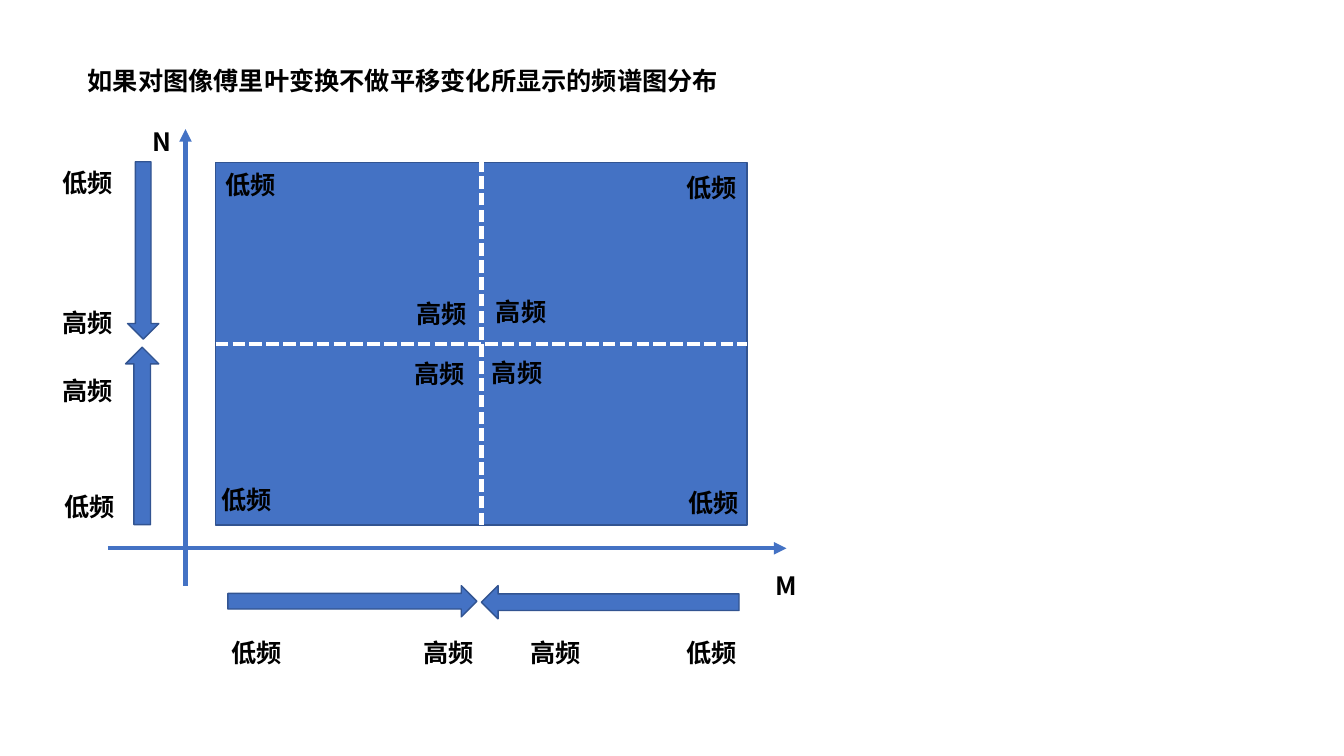
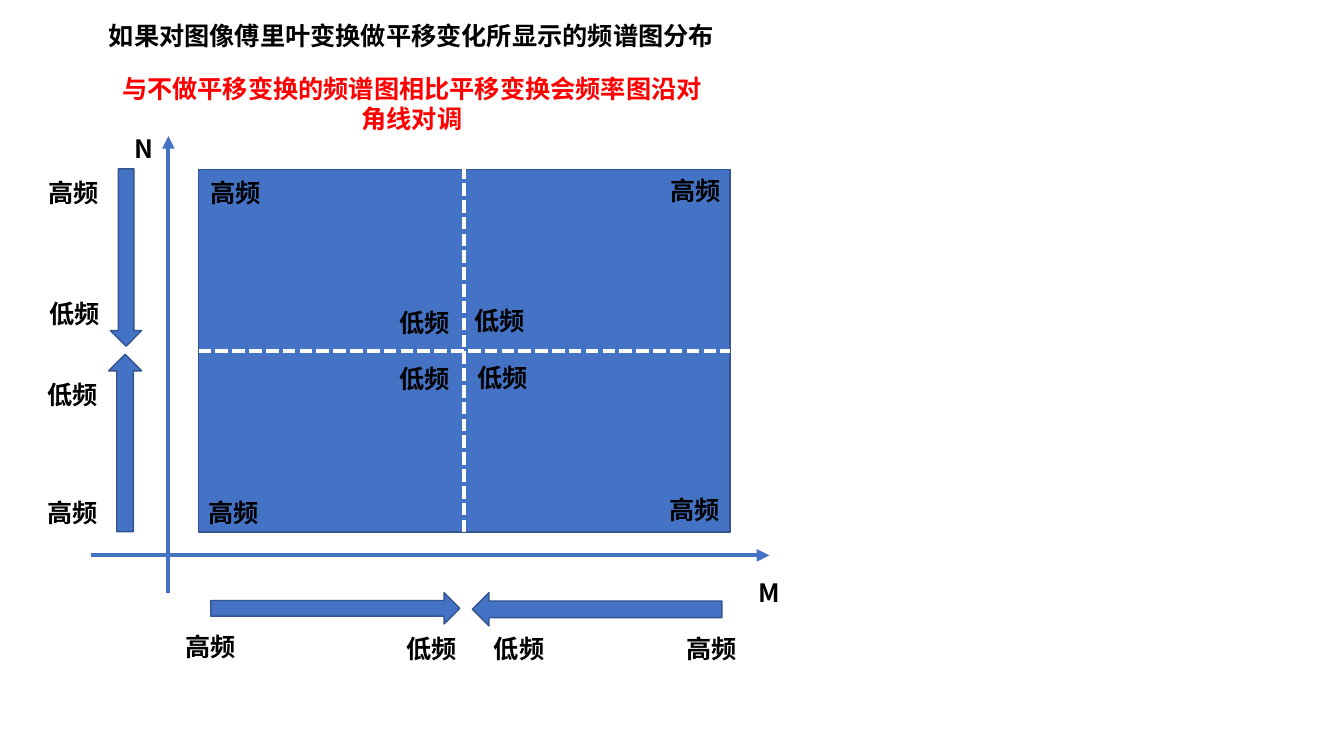
from dataclasses import dataclass
from typing import Optional

from lxml.etree import SubElement
from pptx import Presentation
from pptx.dml.color import RGBColor
from pptx.enum.dml import MSO_LINE as Dash
from pptx.enum.shapes import MSO_CONNECTOR as Connector, MSO_SHAPE as Shape
from pptx.enum.text import MSO_ANCHOR as Anchor, MSO_AUTO_SIZE as AutoSize, PP_ALIGN as Align
from pptx.oxml.ns import qn
from pptx.util import Inches, Pt

COLOURS = {"blue": "4472C4", "edge": "325491", "dash": "FFFFFF",
           "text": "000000", "note": "FF0000"}
FONT = "Noto Sans CJK SC"
FONT_FORMAT = {"name": FONT, "size": Pt(18), "bold": True}
FRAME_FORMAT = {"auto_size": AutoSize.NONE, "vertical_anchor": Anchor.TOP,
                "margin_left": Inches(0.1), "margin_right": Inches(0.1),
                "margin_top": Inches(0.05), "margin_bottom": Inches(0.05)}
LOW, HIGH = "低频", "高频"
LABEL_W, LABEL_H = 0.71, 0.4


@dataclass(frozen=True)
class Box:
    left: float
    top: float
    width: float
    height: float

    def inches(self) -> tuple:
        return tuple(Inches(v) for v in (self.left, self.top, self.width, self.height))

    def shifted(self, dx: float, dy: float) -> "Box":
        return Box(self.left + dx, self.top + dy, self.width, self.height)


@dataclass(frozen=True)
class Arrow:
    kind: Shape
    box: Box
    rotation: int = 0


@dataclass(frozen=True)
class Stroke:
    start: tuple
    end: tuple
    colour: str
    dashed: bool = False


@dataclass(frozen=True)
class Spectrum:
    title: str
    title_box: Box
    shift: tuple          # offset of the whole diagram
    edge_word: str        # at the corners and the far ends of the arrows
    centre_word: str      # where the arrows meet
    edge_spots: list
    centre_spots: list
    meeting_gap: float    # between panel centre and the left-pointing arrow
    note: Optional[str] = None


# Diagram geometry before the shift
PANEL = Box(2.14, 1.61, 5.27, 3.6)
MID_X = PANEL.left + PANEL.width / 2
MID_Y = PANEL.top + PANEL.height / 2
RIGHT, BOTTOM = PANEL.left + PANEL.width, PANEL.top + PANEL.height
ARROWS_END = 7.33
AXES = [Stroke((1.84, 5.81), (1.84, 1.28), "blue"),
        Stroke((1.07, 5.44), (7.8, 5.44), "blue")]
DIVIDERS = [Stroke((PANEL.left, MID_Y), (RIGHT, MID_Y), "dash", True),
            Stroke((MID_X, BOTTOM), (MID_X, PANEL.top), "dash", True)]
AXIS_NAMES = {"M": Box(7.59, 5.61, 0.44, LABEL_H), "N": Box(1.41, 1.2, 0.39, LABEL_H)}
NOTE_BOX = Box(1.09, 0.68, 5.99, 0.71)

# Label spots: around the axes first, then inside the panel
SPECTRA = [
    Spectrum("如果对图像傅里叶变换不做平移变化所显示的频谱图分布",
             Box(0.77, 0.6, 6.51, LABEL_H), (0, 0), LOW, HIGH,
             [(2.2, 6.27), (6.71, 6.27), (0.52, 1.61), (0.54, 4.83),
              (2.14, 1.63), (6.71, 1.66), (2.1, 4.76), (6.73, 4.79)],
             [(4.1, 6.27), (5.16, 6.27), (0.52, 3), (0.52, 3.67),
              (4.03, 2.91), (4.82, 2.89), (4.01, 3.51), (4.78, 3.5)], 0),
    Spectrum("如果对图像傅里叶变换做平移变化所显示的频谱图分布",
             Box(0.98, 0.15, 6.26, LABEL_H), (-0.17, 0.07), HIGH, LOW,
             [(1.74, 6.21), (6.71, 6.23), (0.38, 1.71), (0.37, 4.88),
              (1.99, 1.71), (6.55, 1.69), (1.97, 4.88), (6.54, 4.86)],
             [(3.93, 6.23), (4.8, 6.23), (0.39, 2.91), (0.37, 3.71),
              (3.86, 3), (4.61, 2.98), (3.86, 3.56), (4.64, 3.55)], 0.08,
             "与不做平移变换的频谱图相比平移变换会频率图沿对角线对调"),
]


def rgb(colour: str) -> RGBColor:
    return RGBColor.from_string(COLOURS[colour])


def write(shape, text: str, colour: str = "text", wrap: bool = False,
          align: Align = Align.LEFT) -> None:
    frame = shape.text_frame
    for name, value in FRAME_FORMAT.items():
        setattr(frame, name, value)
    frame.word_wrap = wrap
    paragraph = frame.paragraphs[0]
    paragraph.alignment = align
    run = paragraph.add_run()
    run.text = text
    for name, value in FONT_FORMAT.items():
        setattr(run.font, name, value)
    run.font.color.rgb = rgb(colour)
    SubElement(run.font._element, qn("a:ea"), typeface=FONT)


def add_text(slide, text: str, box: Box, **style) -> None:
    write(slide.shapes.add_textbox(*box.inches()), text, **style)


def add_title(slide, text: str, box: Box) -> None:
    title = slide.shapes.title
    title.left, title.top, title.width, title.height = box.inches()
    write(title, text)


def add_block(slide, kind: Shape, box: Box, rotation: int = 0) -> None:
    block = slide.shapes.add_shape(kind, *box.inches())
    block.rotation = rotation
    block.shadow.inherit = False
    block.fill.solid()
    block.fill.fore_color.rgb = rgb("blue")
    block.line.color.rgb = rgb("edge")
    block.line.width = Pt(1)


def add_stroke(slide, stroke: Stroke, shift: tuple) -> None:
    ends = [Inches(point[i] + shift[i]) for point in (stroke.start, stroke.end) for i in (0, 1)]
    connector = slide.shapes.add_connector(Connector.STRAIGHT, *ends)
    connector.line.color.rgb = rgb(stroke.colour)
    connector.line.width = Pt(3)
    if stroke.dashed:
        connector.line.dash_style = Dash.SQUARE_DOT
    else:
        SubElement(connector.line._get_or_add_ln(), qn("a:tailEnd"), type="triangle")
    SubElement(connector._element.spPr, qn("a:effectLst"))


def frequency_arrows(meeting_gap: float) -> list[Arrow]:
    start = MID_X + meeting_gap
    return [Arrow(Shape.RIGHT_ARROW, Box(2.26, 5.81, 2.47, 0.31)),
            Arrow(Shape.LEFT_ARROW, Box(start, 5.81, ARROWS_END - start, 0.33)),
            Arrow(Shape.RIGHT_ARROW, Box(0.54, 2.33, 1.76, 0.31), 90),
            Arrow(Shape.LEFT_ARROW, Box(0.53, 4.16, 1.76, 0.33), 90)]


def draw_spectrum(slide, spectrum: Spectrum) -> None:
    shift = spectrum.shift
    add_title(slide, spectrum.title, spectrum.title_box)
    # Panel, axes and arrows
    add_block(slide, Shape.RECTANGLE, PANEL.shifted(*shift))
    for stroke in AXES + DIVIDERS:
        add_stroke(slide, stroke, shift)
    for arrow in frequency_arrows(spectrum.meeting_gap):
        add_block(slide, arrow.kind, arrow.box.shifted(*shift), arrow.rotation)
    # Axis names and frequency labels
    for name, box in AXIS_NAMES.items():
        add_text(slide, name, box.shifted(*shift))
    for word, spots in ((spectrum.edge_word, spectrum.edge_spots),
                        (spectrum.centre_word, spectrum.centre_spots)):
        for left, top in spots:
            add_text(slide, word, Box(left, top, LABEL_W, LABEL_H))
    if spectrum.note:
        add_text(slide, spectrum.note, NOTE_BOX, colour="note", wrap=True, align=Align.CENTER)


deck = Presentation()
deck.slide_width, deck.slide_height = Inches(13.33), Inches(7.5)
title_only = deck.slide_layouts[5]
for spectrum in SPECTRA:
    draw_spectrum(deck.slides.add_slide(title_only), spectrum)
deck.save("out.pptx")
